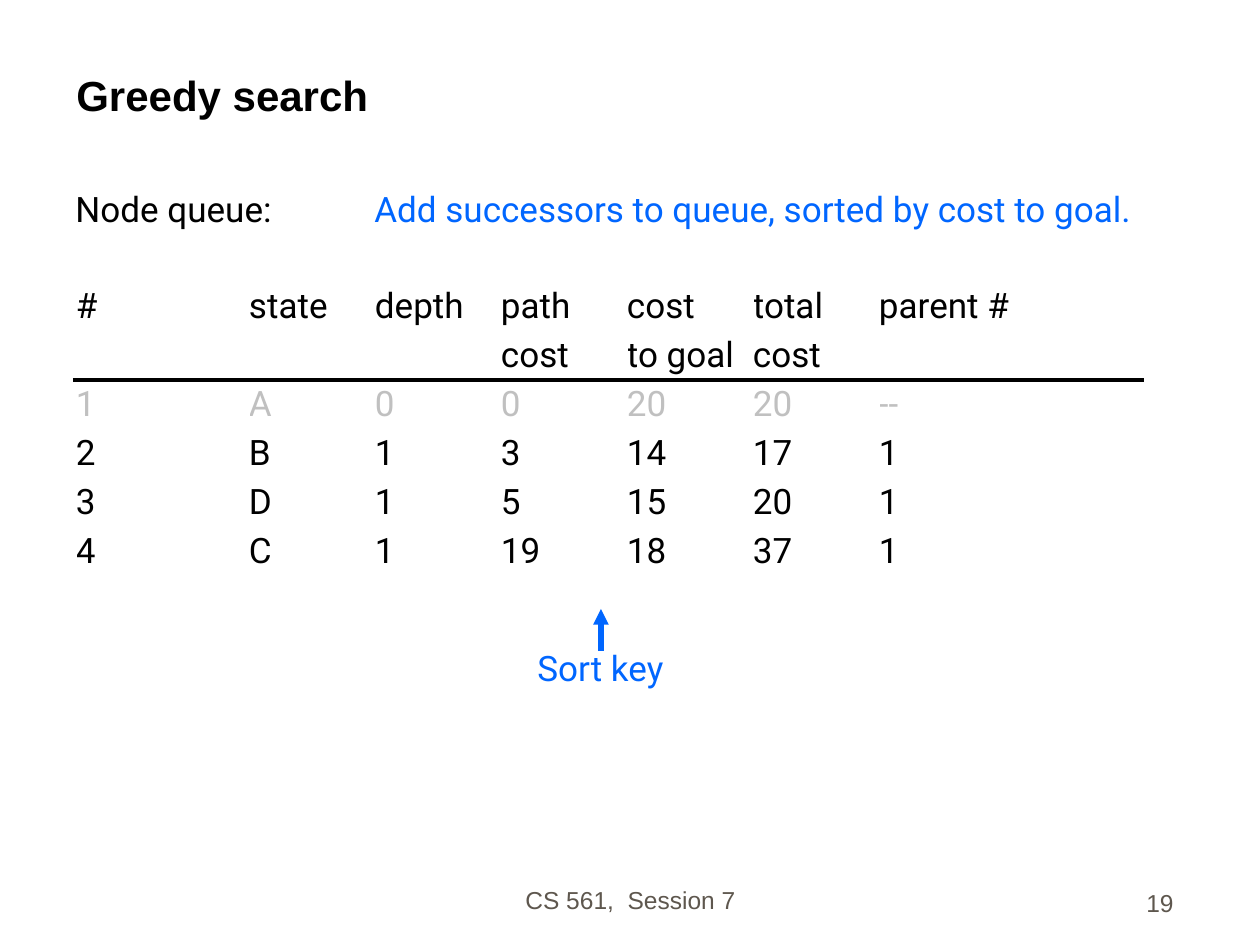
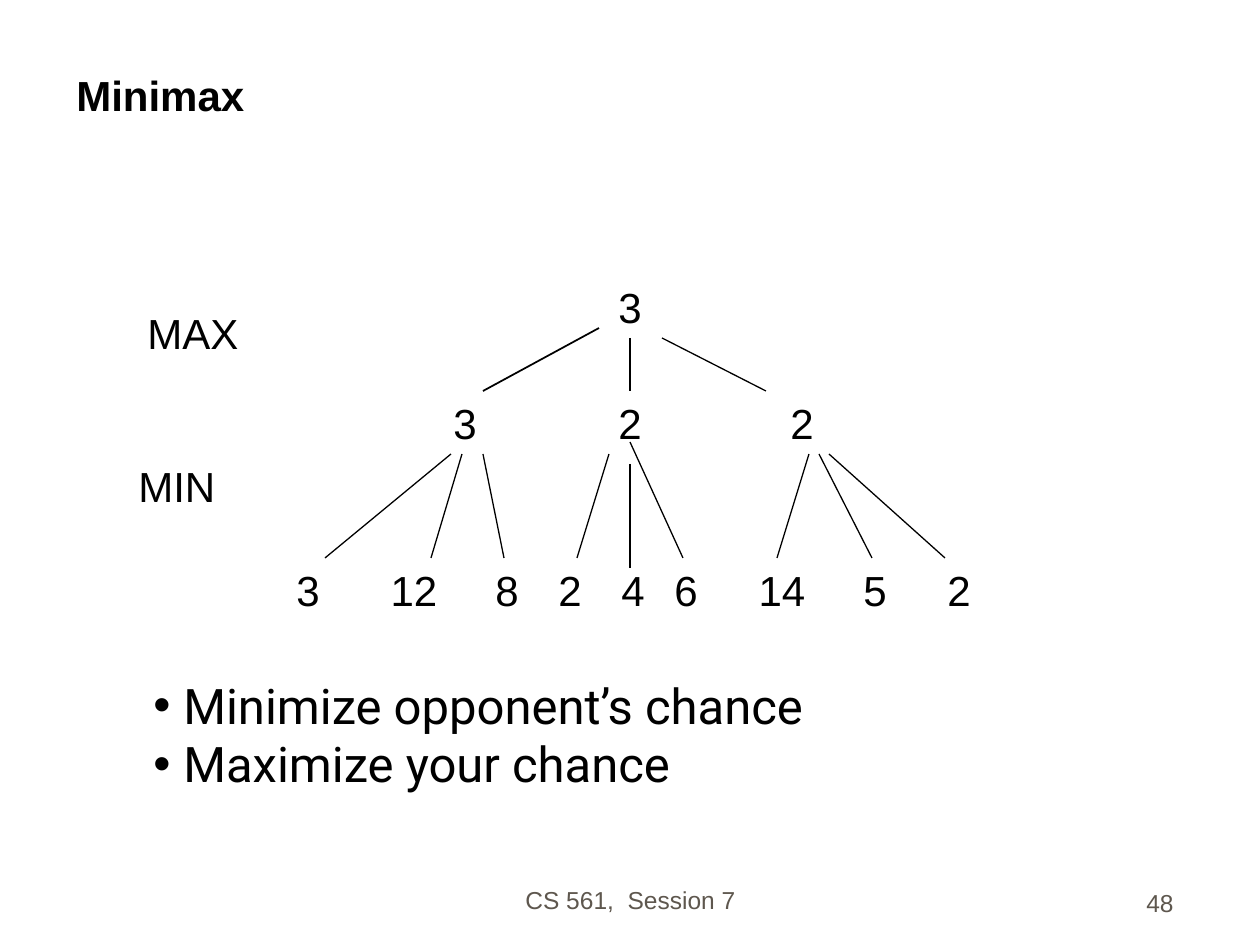
from lxml import etree
from pptx import Presentation
from pptx.dml.color import RGBColor
from pptx.enum.shapes import MSO_CONNECTOR
from pptx.enum.text import MSO_ANCHOR, PP_ALIGN
from pptx.oxml.ns import qn
from pptx.util import Emu, Pt

# Shared style
BLACK = RGBColor(0x00, 0x00, 0x00)
BLUE = RGBColor(0x00, 0x66, 0xFF)
GREY = RGBColor(0xC0, 0xC0, 0xC0)
FOOTER_BROWN = RGBColor(0x5E, 0x57, 0x4E)
ARIAL, ROBOTO = "Arial", "Roboto"
STRAIGHT = MSO_CONNECTOR.STRAIGHT
TOP, BOTTOM = MSO_ANCHOR.TOP, MSO_ANCHOR.BOTTOM
LEFT, CENTER, RIGHT = PP_ALIGN.LEFT, PP_ALIGN.CENTER, PP_ALIGN.RIGHT
PX_PER_INCH = 126
FOOTER = "CS 561,  Session 7"

# Greedy search: node queue
COLUMN_WIDTHS = [173] + [126] * 5 + [265]
HEADER_HEIGHT, ROW_HEIGHT = 98, 49
QUEUE_TOP = 282
QUEUE = [
    ["#", "state", "depth", "path\ncost", "cost\nto goal", "total\ncost", "parent #"],
    ["1", "A", "0", "0", "20", "20", "--"],
    ["2", "B", "1", "3", "14", "17", "1"],
    ["3", "D", "1", "5", "15", "20", "1"],
    ["4", "C", "1", "19", "18", "37", "1"],
]

# Minimax: each level is its top and (value, centre x) of its nodes
TREE_LEVELS = [
    (275, [("3", 630)]),
    (391, [("3", 465), ("2", 630), ("2", 802)]),
    (558, [("3", 308), ("12", 414), ("8", 507), ("2", 570), ("4", 633),
           ("6", 686), ("14", 782), ("5", 875), ("2", 959)]),
]
BRANCHES = [
    ((630, 338), (630, 391)), ((662, 338), (766, 391)),
    ((451, 454), (325, 558)), ((462, 454), (431, 558)), ((483, 454), (504, 558)),
    ((609, 454), (577, 558)), ((630, 464), (630, 568)), ((630, 442), (683, 558)),
    ((809, 454), (777, 558)), ((819, 454), (872, 558)), ((829, 454), (945, 558)),
]


def px(length):
    return Emu(round(length * 914400 / PX_PER_INCH))


def write(frame, content, font=ARIAL, size=24, color=BLACK, bold=False,
          align=LEFT, space_before=0, bullet_indent=0, tab=0):
    """Write lines of text; a line is a string or a list of (string, color)."""
    lines = content.split("\n") if isinstance(content, str) else content
    for index, line in enumerate(lines):
        paragraph = frame.paragraphs[0] if index == 0 else frame.add_paragraph()
        properties = paragraph._p.get_or_add_pPr()
        if bullet_indent:
            properties.set("marL", str(px(bullet_indent)))
            properties.set("indent", str(-px(bullet_indent)))
            etree.SubElement(properties, qn("a:buFont"), typeface=ARIAL)
            etree.SubElement(properties, qn("a:buChar"), char="•")
        if tab:
            stops = etree.SubElement(properties, qn("a:tabLst"))
            etree.SubElement(stops, qn("a:tab"), pos=str(px(tab)), algn="l")
        paragraph.alignment = align
        if index and space_before:
            paragraph.space_before = Pt(space_before)
        for text, run_color in [(line, color)] if isinstance(line, str) else line:
            run = paragraph.add_run()
            run.text = text
            run.font.name = font
            run.font.size = Pt(size)
            run.font.bold = bold
            run.font.color.rgb = run_color


class Deck:
    def __init__(self):
        self.presentation = Presentation()
        self.presentation.slide_width = px(1260)
        self.presentation.slide_height = px(945)
        self.slide = None

    def start_slide(self, title, number):
        layout = self.presentation.slide_layouts[6]
        self.slide = self.presentation.slides.add_slide(layout)
        self.text(title, 64, 32, 1124, 94, anchor=BOTTOM, bold=True)
        footer_style = {"anchor": BOTTOM, "size": 14, "color": FOOTER_BROWN}
        self.text(FOOTER, 431, 858, 399, 63, align=CENTER, **footer_style)
        self.text(number, 924, 861, 262, 63, align=RIGHT, **footer_style)

    def text(self, content, left, top, width, height, anchor=TOP, wrap=True, **style):
        box = self.slide.shapes.add_textbox(px(left), px(top), px(width), px(height))
        box.text_frame.word_wrap = wrap
        box.text_frame.vertical_anchor = anchor
        write(box.text_frame, content, **style)

    def line(self, start, end, color=BLACK, weight=0.75, arrow=False):
        connector = self.slide.shapes.add_connector(
            STRAIGHT, *[px(value) for value in (*start, *end)])
        connector.line.color.rgb = color
        connector.line.width = Pt(weight)
        if arrow:
            etree.SubElement(connector.line._get_or_add_ln(), qn("a:tailEnd"),
                             type="triangle")
        etree.SubElement(connector._element.spPr, qn("a:effectLst"))

    def table(self, rows, left, top, widths, heights, row_colors, **style):
        table = self.slide.shapes.add_table(
            len(rows), len(widths), px(left), px(top),
            px(sum(widths)), px(sum(heights))).table
        table.first_row = table.horz_banding = False
        for column, width in zip(table.columns, widths):
            column.width = px(width)
        for row, height, values, color in zip(table.rows, heights, rows, row_colors):
            row.height = px(height)
            for cell, value in zip(row.cells, values):
                cell.fill.background()
                cell.margin_left = cell.margin_right = cell.margin_bottom = 0
                cell.margin_top = px(4)
                write(cell.text_frame, value, color=color, **style)


def build_greedy_search(deck):
    deck.start_slide("Greedy search", "19")
    deck.text([[("Node queue:\t", BLACK),
                ("Add successors to queue, sorted by cost to goal.", BLUE)]],
              63, 181, 1126, 54, font=ROBOTO, size=20, tab=299)

    # Queue with the rule under its header
    heights = [HEADER_HEIGHT] + [ROW_HEIGHT] * (len(QUEUE) - 1)
    deck.table(QUEUE, 76, QUEUE_TOP, COLUMN_WIDTHS, heights,
               [BLACK, GREY, BLACK, BLACK, BLACK],
               font=ROBOTO, size=20, space_before=4.7)
    rule_y = QUEUE_TOP + HEADER_HEIGHT
    deck.line((73, rule_y), (1144, rule_y), weight=2.25)

    # Sort key marker
    deck.line((601, 651), (601, 609), color=BLUE, weight=3, arrow=True)
    deck.text("Sort key", 525, 640, 152, 54, wrap=False,
              font=ROBOTO, size=20, color=BLUE)


def build_minimax(deck):
    deck.start_slide("Minimax", "48")

    # Game tree
    for top, nodes in TREE_LEVELS:
        for value, center in nodes:
            width = 26 + 23 * len(value)
            deck.text(value, center - width / 2, top, width, 63,
                      wrap=False, align=CENTER)
    deck.line((599, 328), (483, 391), weight=1)
    for start, end in BRANCHES:
        deck.line(start, end)

    # Players and their aims
    deck.text("MAX", 135, 301, 116, 63, wrap=False)
    deck.text("MIN", 126, 454, 102, 63, wrap=False)
    deck.text("Minimize opponent’s chance\nMaximize your chance",
              141, 669, 737, 130, font=ROBOTO, size=28, bullet_indent=30)


def main():
    deck = Deck()
    build_greedy_search(deck)
    build_minimax(deck)
    deck.presentation.save("out.pptx")


if __name__ == "__main__":
    main()
